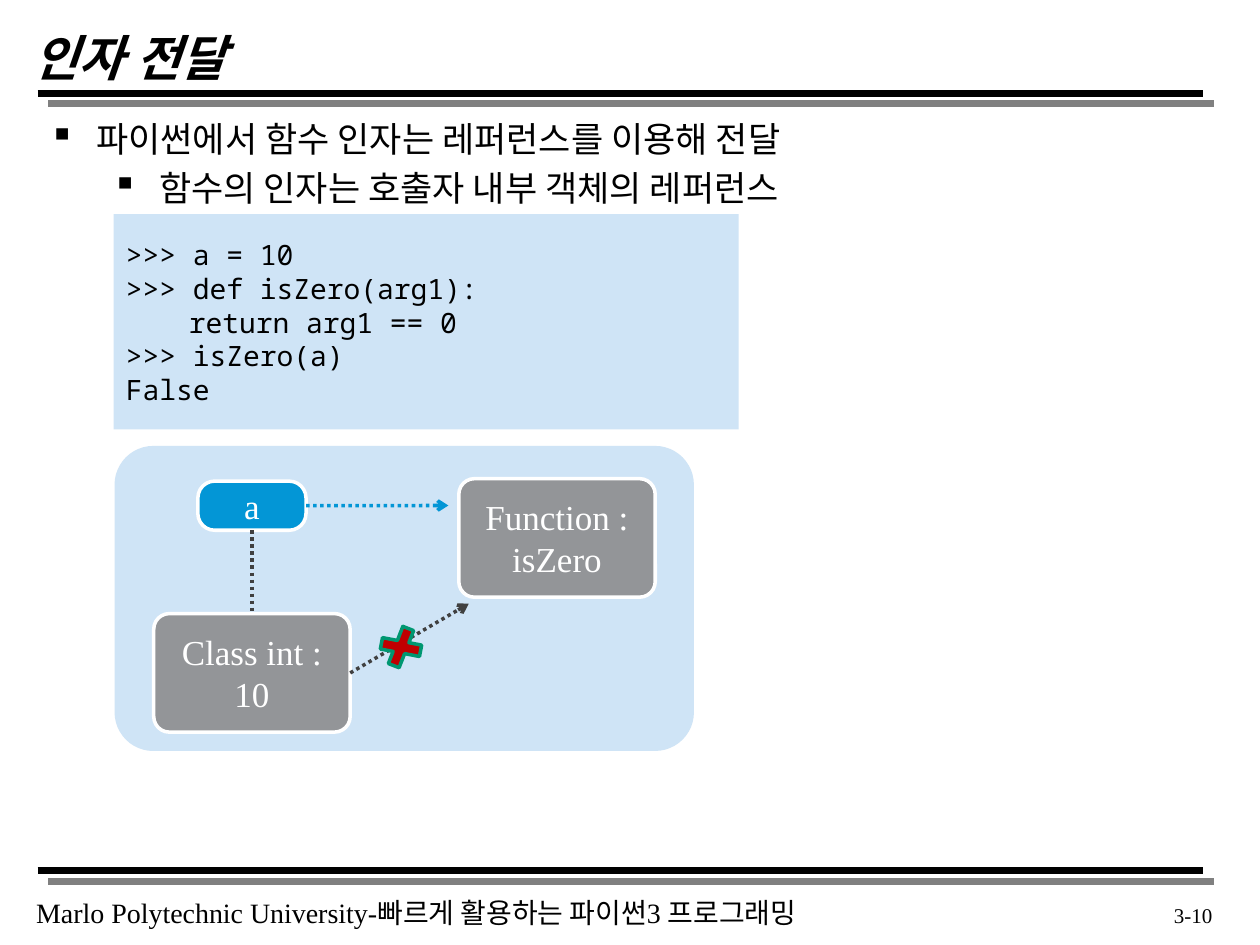
from lxml.etree import SubElement
from pptx import Presentation
from pptx.dml.color import RGBColor
from pptx.enum.dml import MSO_LINE
from pptx.enum.shapes import MSO_CONNECTOR, MSO_SHAPE
from pptx.enum.text import MSO_ANCHOR, MSO_AUTO_SIZE, PP_ALIGN
from pptx.oxml.ns import qn
from pptx.util import Cm, Pt

SERIF, MONO = "Times New Roman", "Noto Sans Mono"
BLACK, WHITE, GRAY, DARK = "000000", "FFFFFF", "939598", "404040"
PALE, BLUE, RED, GREEN = "CFE4F6", "0396D6", "C00000", "009771"


def color(value):
    return RGBColor.from_string(value)


class SlideBuilder:
    """Holds the text style and the slide being filled."""

    def __init__(self, slide, font=SERIF):
        self.slide = slide
        self.font = font

    def set_text(self, shape, text, size, text_color=BLACK, font=None,
                 align=PP_ALIGN.LEFT, anchor=MSO_ANCHOR.TOP, wrap=True,
                 bold=False, italic=False):
        frame = shape.text_frame
        frame.text = text
        frame.word_wrap = wrap
        frame.auto_size = MSO_AUTO_SIZE.NONE
        frame.vertical_anchor = anchor
        for paragraph in frame.paragraphs:
            paragraph.alignment = align
            for run in paragraph.runs:
                run.font.name = font or self.font
                run.font.size = Pt(size)
                run.font.bold, run.font.italic = bold, italic
                run.font.color.rgb = color(text_color)
        return shape

    def title(self, text, left, top, width, height):
        shape = self.slide.shapes.title
        shape.left, shape.top = Cm(left), Cm(top)
        shape.width, shape.height = Cm(width), Cm(height)
        self.set_text(shape, text, 28, bold=True, italic=True)

    def text(self, text, left, top, width, height, size, **style):
        box = self.slide.shapes.add_textbox(Cm(left), Cm(top), Cm(width), Cm(height))
        return self.set_text(box, text, size, **style)

    def bullets(self, items, left, top, width, height, size):
        box = self.text("\n".join(items), left, top, width, height, size)
        for level, paragraph in enumerate(box.text_frame.paragraphs):
            paragraph.level = level
            paragraph.space_before = Pt(size * 0.2)
            properties = paragraph._p.get_or_add_pPr()
            properties.set("marL", str(Cm(0.95 + 1.27 * level)))
            properties.set("indent", str(Cm(-0.95)))
            SubElement(properties, qn("a:buChar")).set("char", "▪")

    def shape(self, kind, left, top, width, height, fill, outline=None, adjust=None):
        shape = self.slide.shapes.add_shape(kind, Cm(left), Cm(top), Cm(width), Cm(height))
        shape.shadow.inherit = False
        shape.fill.solid()
        shape.fill.fore_color.rgb = color(fill)
        if outline:
            shape.line.color.rgb = color(outline)
            shape.line.width = Pt(2)
        else:
            shape.line.fill.background()
        if adjust is not None:
            shape.adjustments[0] = adjust
        return shape

    def node(self, text, left, top, width, height, fill, adjust):
        shape = self.shape(MSO_SHAPE.ROUNDED_RECTANGLE, left, top, width, height,
                           fill, WHITE, adjust)
        return self.set_text(shape, text, 20, WHITE, align=PP_ALIGN.CENTER,
                             anchor=MSO_ANCHOR.MIDDLE)

    def line(self, start, end, line_color, width):
        connector = self.slide.shapes.add_connector(
            MSO_CONNECTOR.STRAIGHT, *(Cm(value) for value in (*start, *end)))
        connector.line.color.rgb = color(line_color)
        connector.line.width = Pt(width)
        effects = SubElement(connector._element.spPr, qn("a:effectLst"))
        return connector, effects

    def rule(self, left, right, y):
        _, effects = self.line((left, y), (right, y), BLACK, 4)
        shadow = SubElement(effects, qn("a:outerShdw"),
                            dist=str(Pt(8.5)), dir="2700000", algn="ctr", rotWithShape="0")
        SubElement(shadow, qn("a:srgbClr"), val="808080")

    def link(self, source, side, end, line_color, arrow=True):
        connector, _ = self.line((0, 0), end, line_color, 2)
        connector.begin_connect(source, side)
        connector.line.dash_style = MSO_LINE.ROUND_DOT
        if arrow:
            SubElement(connector.line._get_or_add_ln(), qn("a:tailEnd"), type="arrow")
        return connector


def main():
    presentation = Presentation()
    presentation.slide_width, presentation.slide_height = Cm(25.4), Cm(19.05)
    slide = presentation.slides.add_slide(presentation.slide_layouts[5])
    builder = SlideBuilder(slide)

    # Double rules above and below the content
    for y in (1.88, 17.55):
        for left in (2.67, 0.76):
            builder.rule(left, 24.26, y)

    # Title, footer and page number
    builder.title("인자 전달", 0.43, 0.43, 21.59, 1.27)
    builder.text("Marlo Polytechnic University-빠르게 활용하는 파이썬3 프로그래밍",
                 0.48, 17.93, 16.76, 0.94, 16, wrap=False)
    builder.text("3-10", 22.58, 18.06, 2.11, 0.81, 12, align=PP_ALIGN.RIGHT)

    # Main points
    builder.bullets(["파이썬에서 함수 인자는 레퍼런스를 이용해 전달",
                     "함수의 인자는 호출자 내부 객체의 레퍼런스"],
                    0.74, 2.24, 23.83, 14.3, 20)

    # Code example
    code = builder.shape(MSO_SHAPE.RECTANGLE, 2.29, 4.32, 12.6, 4.34, PALE)
    builder.set_text(code, ">>> a = 10\v>>> def isZero(arg1):\n\treturn arg1 == 0\n"
                           ">>> isZero(a)\nFalse",
                     16, font=MONO, anchor=MSO_ANCHOR.MIDDLE)

    # Reference diagram
    builder.shape(MSO_SHAPE.ROUNDED_RECTANGLE, 2.31, 8.99, 11.68, 6.15, PALE, adjust=0.127)
    builder.node("Function :\visZero", 9.25, 9.65, 3.96, 2.39, GRAY, 0.132)
    integer = builder.node("Class int :\v10", 3.1, 12.37, 3.96, 2.39, GRAY, 0.132)
    variable = builder.node("a", 3.99, 9.7, 2.18, 0.99, BLUE, 0.341)
    builder.link(variable, 3, (9.04, 10.19), BLUE)
    reference = builder.link(variable, 2, (5.08, 12.37), DARK, arrow=False)
    reference.end_connect(integer, 0)
    builder.link(integer, 3, (9.45, 12.17), DARK)

    # Cross over the value-passing arrow
    cross = builder.shape(MSO_SHAPE.MATH_MULTIPLY, 7.49, 12.55, 1.19, 0.99, RED, GREEN)
    cross.rotation = 331.1

    presentation.save("out.pptx")


if __name__ == "__main__":
    main()
